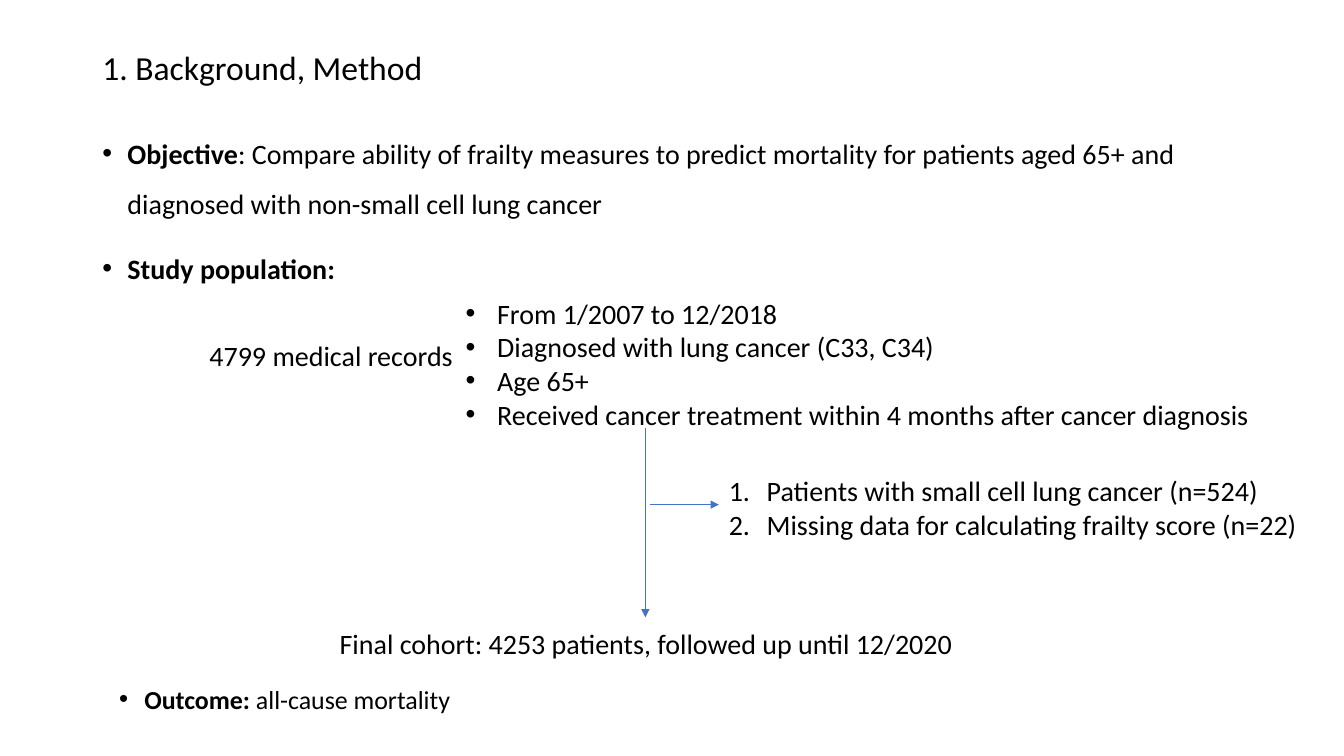
from lxml.etree import SubElement
from pptx import Presentation
from pptx.dml.color import RGBColor
from pptx.enum.shapes import MSO_CONNECTOR
from pptx.enum.text import MSO_ANCHOR
from pptx.oxml.ns import qn
from pptx.util import Pt

BLACK = RGBColor(0x00, 0x00, 0x00)
BLUE = RGBColor(0x44, 0x72, 0xC4)
FONT = "Calibri"


def set_bullet(paragraph, marker, indent):
    """Give a paragraph a hanging indent with a dot or an automatic number."""
    properties = paragraph._p.get_or_add_pPr()
    properties.set("marL", str(Pt(indent)))
    properties.set("indent", str(-Pt(indent)))
    if marker == "number":
        SubElement(properties, qn("a:buAutoNum"), type="arabicPeriod")
    else:
        SubElement(properties, qn("a:buFont"), typeface="Arial")
        SubElement(properties, qn("a:buChar"), char=marker)


def add_text(slide, box, paragraphs, size=20, marker=None, indent=18,
             line_spacing=1.0, space_before=0, wrap=True, anchor=MSO_ANCHOR.TOP):
    """Add a text box whose paragraphs are lists of (text, bold) runs."""
    shape = slide.shapes.add_textbox(*map(Pt, box))
    frame = shape.text_frame
    frame.word_wrap = wrap
    frame.vertical_anchor = anchor
    for index, runs in enumerate(paragraphs):
        paragraph = frame.add_paragraph() if index else frame.paragraphs[0]
        paragraph.line_spacing = line_spacing
        paragraph.space_before = Pt(space_before)
        if marker:
            set_bullet(paragraph, marker, indent)
        for text, bold in runs:
            run = paragraph.add_run()
            run.text = text
            run.font.name = FONT
            run.font.size = Pt(size)
            run.font.bold = bold
            run.font.color.rgb = BLACK


def add_arrow(slide, start, end):
    """Draw a thin blue arrow between two points."""
    connector = slide.shapes.add_connector(
        MSO_CONNECTOR.STRAIGHT, *map(Pt, start + end))
    connector.line.color.rgb = BLUE
    connector.line.width = Pt(0.5)
    SubElement(connector.line._get_or_add_ln(), qn("a:tailEnd"), type="triangle")
    SubElement(connector._element.spPr, qn("a:effectLst"))


def add_title(slide, box):
    """Add the slide heading."""
    add_text(slide, box, [[("1. Background, Method", False)]], size=24,
             line_spacing=0.9, anchor=MSO_ANCHOR.MIDDLE)


def add_aims(slide, box):
    """Add the objective and the study population heading."""
    objective = (": Compare ability of frailty measures to predict mortality for "
                 "patients aged 65+ and diagnosed with non-small cell lung cancer")
    add_text(slide, box,
             [[("Objective", True), (objective, False)],
              [("Study population:", True)]],
             marker="•", line_spacing=1.5, space_before=10)


def add_cohort_flow(slide, box):
    """Add the selection flow from medical records to the final cohort."""
    left, top, width, height = box
    records = ["4799 medical records"]
    criteria = ["From 1/2007 to 12/2018",
                "Diagnosed with lung cancer (C33, C34)",
                "Age 65+",
                "Received cancer treatment within 4 months after cancer diagnosis"]
    exclusions = ["Patients with small cell lung cancer (n=524)",
                  "Missing data for calculating frailty score (n=22)"]
    cohort = ["Final cohort: 4253 patients, followed up until 12/2020"]
    blocks = [
        (records, 0, 30.5, 190, 31.5, None, 0),
        (criteria, 183, 0, 580, 104.5, "•", 22.5),
        (exclusions, 371, 127, 425, 55.5, "number", 27),
        (cohort, 93, height - 31.5, 456.5, 31.5, None, 0),
    ]
    for lines, x, y, block_width, block_height, marker, indent in blocks:
        add_text(slide, (left + x, top + y, block_width, block_height),
                 [[(line, False)] for line in lines],
                 marker=marker, indent=indent, wrap=False)
    stem = left + 318.5
    branch = top + 152.5
    add_arrow(slide, (stem, top + 98), (stem, top + height - 34.5))
    add_arrow(slide, (stem + 3, branch), (left + 371, branch))


def add_outcome(slide, box):
    """Add the outcome bullet."""
    add_text(slide, box,
             [[("Outcome: ", True), ("all-cause mortality", False)]],
             size=18.5, marker="•", line_spacing=1.3, space_before=10)


def main():
    """Build the slide and save it."""
    presentation = Presentation()
    presentation.slide_width = Pt(960)
    presentation.slide_height = Pt(540)
    slide = presentation.slides.add_slide(presentation.slide_layouts[6])
    add_title(slide, (66, 29, 828, 42))
    add_aims(slide, (66, 82, 828, 126))
    add_cohort_flow(slide, (142.5, 208, 796, 267.5))
    add_outcome(slide, (78, 478, 828, 35))
    presentation.save("out.pptx")


if __name__ == "__main__":
    main()
